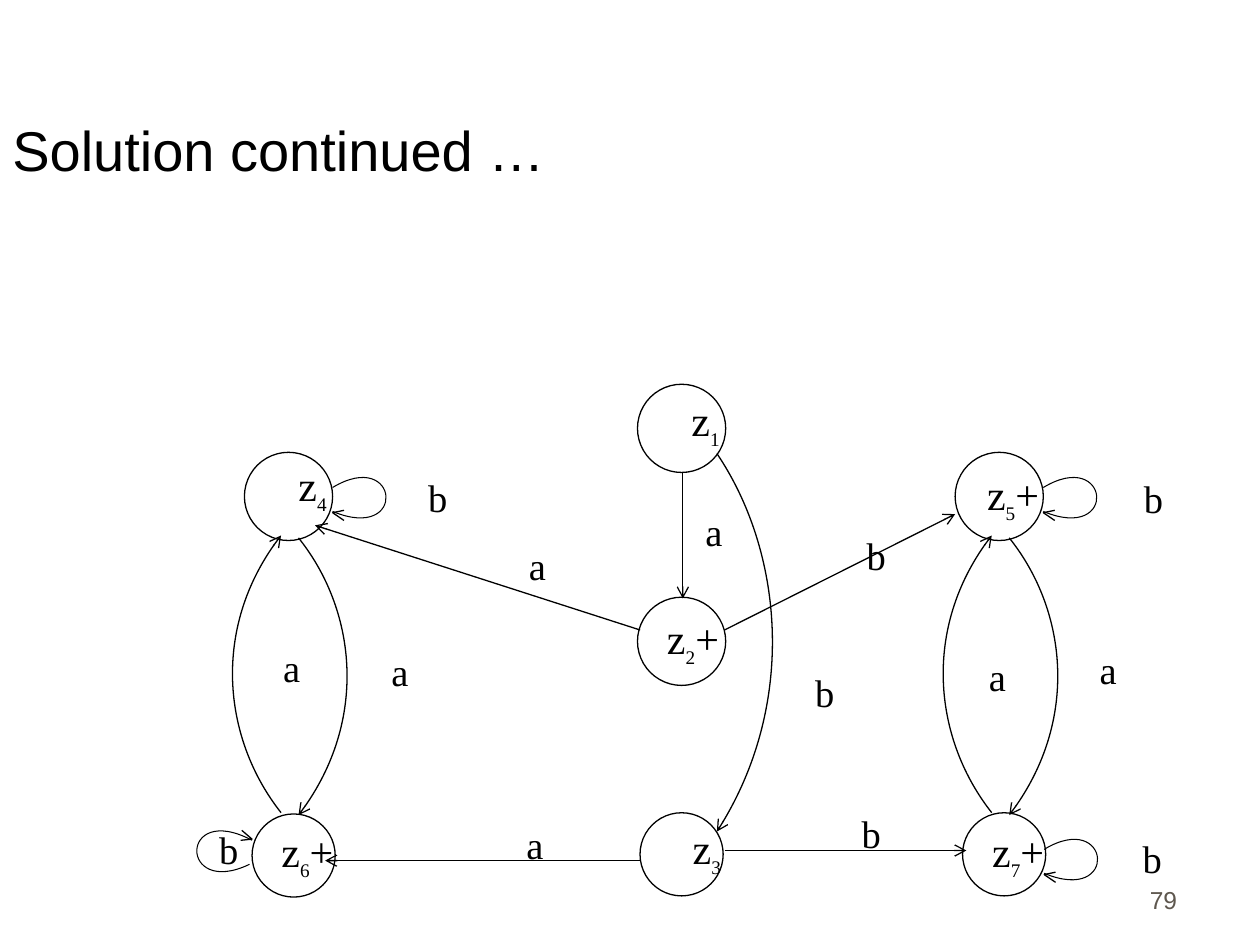
from lxml.etree import SubElement
from pptx import Presentation
from pptx.dml.color import RGBColor
from pptx.enum.shapes import MSO_CONNECTOR, MSO_SHAPE
from pptx.enum.text import MSO_ANCHOR, PP_ALIGN
from pptx.oxml.ns import qn
from pptx.util import Pt

BLACK = RGBColor(0, 0, 0)
WHITE = RGBColor(255, 255, 255)
BROWN = RGBColor(0x5E, 0x57, 0x4E)

TITLE = dict(name="Arial", size=Pt(32), color=BLACK)
NUMBER = dict(name="Arial", size=Pt(14), color=BROWN)
STATE = dict(name="Times New Roman", size=Pt(24), color=BLACK)
INDEX = {**STATE, "size": Pt(19)}
LETTER = {**STATE, "size": Pt(22)}

# index, final mark, circle centre, diameter, label corner
STATES = [
    ("1", "", (389.5, 244.8), 50.4, (374.4, 221.8)),
    ("2", "+", (389.5, 366.5), 50.4, (367.2, 346.3)),
    ("3", "", (389.5, 488.2), 47.5, (375.1, 466.6)),
    ("4", "", (164.9, 283.7), 50.4, (149.8, 259.2)),
    ("5", "+", (571, 283.7), 50.4, (550.1, 264.2)),
    ("6", "+", (167.8, 488.9), 47.5, (146.9, 468)),
    ("7", "+", (573.8, 488.2), 47.5, (553, 468)),
]
STRAIGHT = [  # from, to
    ((390.2, 270), (390.2, 342)),
    ((365.8, 360), (180, 300.2)),
    ((414, 360), (545.8, 293.8)),
    ((365.8, 491.8), (185.8, 491.8)),
    ((414, 486), (552.2, 486)),
]
# Bezier points: start, two controls, end
LONG_ARC = [(409.7, 259.2), (447.1, 314.6), (455.8, 403.9), (409.7, 475.2)]
UP_ARC = [(160.6, 464.4), (128.2, 423.4), (120.2, 357.8), (160.6, 306)]
DOWN_ARC = [(170.6, 307.4), (203, 347.8), (211, 413.3), (170.6, 465.8)]
RIGHT_LOOP = [(190.1, 278.6), (228.2, 255.6), (233.3, 310.3), (190.1, 292.3)]
RIGHT_BARB = [(196.6, 297.4), (190.1, 293), (196.6, 291.6)]
LEFT_LOOP = [(142.6, 493.9), (102.2, 513.4), (102.2, 457.9), (144, 480.2)]
LEFT_BARB = [(138.2, 474.5), (144, 479.5), (137.5, 480.2)]

SIDE_SHIFT = 406.1  # from the z4-z6 pair to the z5-z7 pair
ARCS = [(LONG_ARC, 0)] + [
    (arc, shift) for shift in (0, SIDE_SHIFT) for arc in (UP_ARC, DOWN_ARC)
]
LOOPS = [  # curve, arrowhead, shift
    (RIGHT_LOOP, RIGHT_BARB, (0, 0)),
    (RIGHT_LOOP, RIGHT_BARB, (SIDE_SHIFT, 0)),
    (RIGHT_LOOP, RIGHT_BARB, (SIDE_SHIFT + 0.5, 206.8)),
    (LEFT_LOOP, LEFT_BARB, (0, 0)),
]
LETTERS = {  # corners of the label boxes
    "a": [(192.2, 366.5), (130.3, 364.3), (533.5, 369.4), (596.9, 365.8),
          (371.5, 286.6), (270.7, 306), (269.3, 465.8)],
    "b": [(213.8, 267.1), (94.3, 468.7), (622.1, 473.8), (622.8, 267.8),
          (434.9, 378.7), (464.4, 300.2), (461.5, 459.4)],
}

presentation = Presentation()
presentation.slide_width, presentation.slide_height = Pt(720), Pt(540)
slide = presentation.slides.add_slide(presentation.slide_layouts[6])
shapes = slide.shapes


def add_text(corner, size, runs, align=PP_ALIGN.CENTER, anchor=MSO_ANCHOR.TOP):
    """Add a text box; runs are (text, font values), INDEX runs are lowered."""
    box = shapes.add_textbox(*map(Pt, corner + size))
    frame = box.text_frame
    frame.word_wrap = True
    frame.vertical_anchor = anchor
    paragraph = frame.paragraphs[0]
    paragraph.alignment = align
    for text, values in runs:
        run = paragraph.add_run()
        run.text = text
        for key, value in values.items():
            if key == "color":
                run.font.color.rgb = value
            else:
                setattr(run.font, key, value)
        if values is INDEX:
            run._r.get_or_add_rPr().set("baseline", "-30000")


def set_line(shape, width=0.75, arrow=False):
    shape.line.color.rgb = BLACK
    shape.line.width = Pt(width)
    if arrow:
        SubElement(shape.line._get_or_add_ln(), qn("a:tailEnd"), type="arrow")


def add_outline(points, shift=(0, 0)):
    """Add an open, unfilled outline of straight segments."""
    start, *rest = [(Pt(x + shift[0]), Pt(y + shift[1])) for x, y in points]
    builder = shapes.build_freeform(*start)
    builder.add_line_segments(rest, close=False)
    outline = builder.convert_to_shape()
    outline.fill.background()
    outline.shadow.inherit = False
    set_line(outline)
    return outline


def add_curve(points, shift, width=0.75, arrow=False):
    """Turn a three-segment outline into one cubic Bezier."""
    curve = add_outline(points, shift)
    segments = list(curve._element.iter(qn("a:lnTo")))
    bezier = SubElement(segments[0].getparent(), qn("a:cubicBezTo"))
    for segment in segments:
        bezier.append(segment[0])
        segment.getparent().remove(segment)
    set_line(curve, width, arrow)


add_text((0, 18), (612, 90), [("Solution continued …", TITLE)],
         PP_ALIGN.LEFT, MSO_ANCHOR.BOTTOM)
add_text((529.9, 490.3), (149.8, 36), [("79", NUMBER)],
         PP_ALIGN.RIGHT, MSO_ANCHOR.BOTTOM)

for _, _, (x, y), diameter, _ in STATES:
    circle = shapes.add_shape(
        MSO_SHAPE.OVAL, Pt(x - diameter / 2), Pt(y - diameter / 2),
        Pt(diameter), Pt(diameter))
    circle.shadow.inherit = False
    circle.fill.solid()
    circle.fill.fore_color.rgb = WHITE
    set_line(circle)

for arc, shift in ARCS:
    add_curve(arc, (shift, 0), arrow=True)
for loop, barb, shift in LOOPS:
    add_curve(loop, shift, 0.6)
    add_outline(barb, shift)
for start, end in STRAIGHT:
    connector = shapes.add_connector(
        MSO_CONNECTOR.STRAIGHT, *map(Pt, start + end))
    set_line(connector, arrow=True)
    SubElement(connector._element.spPr, qn("a:effectLst"))

for index, mark, _, _, corner in STATES:
    runs = [("z", STATE), (index, INDEX)] + ([(mark, STATE)] if mark else [])
    add_text(corner, (57.6, 32.4), runs)
for letter, corners in LETTERS.items():
    for corner in corners:
        add_text(corner, (72.7, 29.5), [(letter, LETTER)])

presentation.save("out.pptx")
